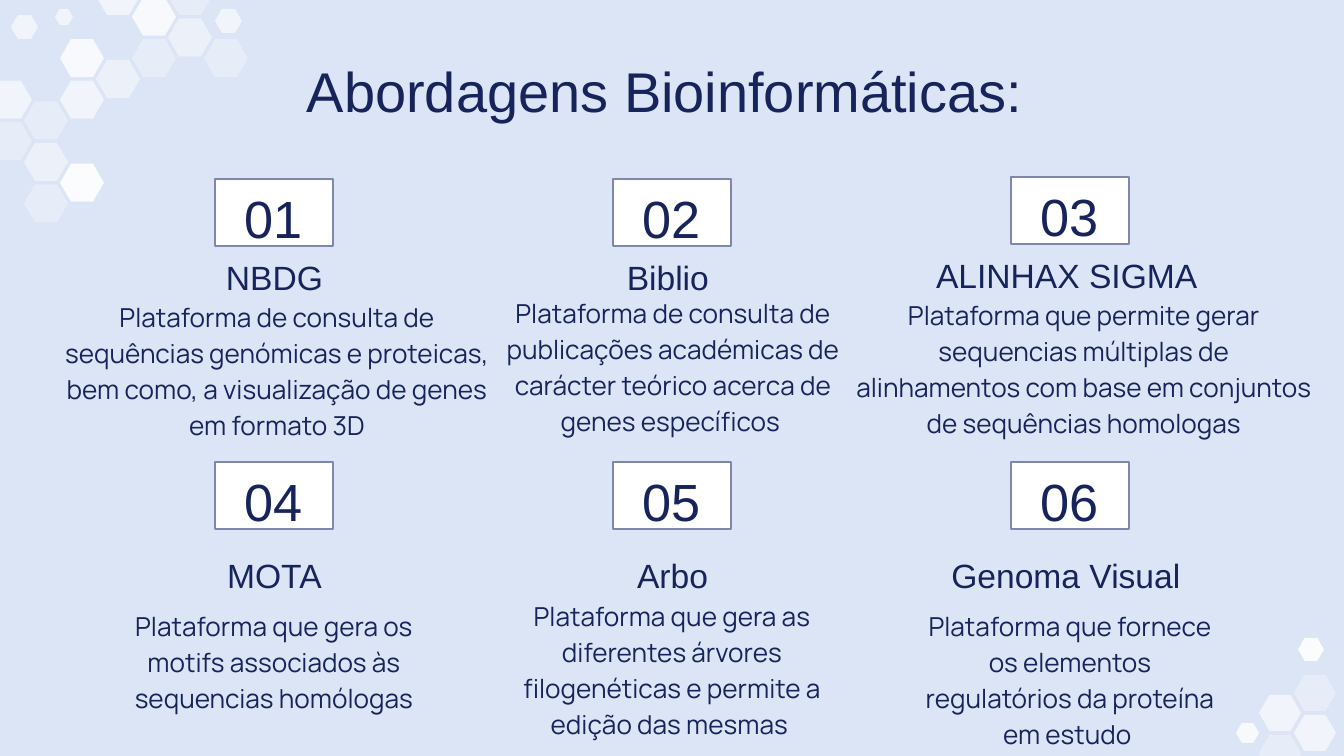
from lxml import etree
from pptx import Presentation
from pptx import util as u
from pptx.dml.color import RGBColor
from pptx.enum import shapes, text
from pptx.oxml.ns import qn

NAVY, WHITE, PALE, BORDER = "17235B", "FFFFFF", "DCE5F5", "7F87AC"
INSET = 13
TOP, MIDDLE, BOTTOM = (text.MSO_ANCHOR.TOP, text.MSO_ANCHOR.MIDDLE,
                       text.MSO_ANCHOR.BOTTOM)


def px(n):
    return u.Emu(round(n * 914400 / 134.4))


def box_px(*lengths):
    return [px(n) for n in lengths]


def color(hex_string):
    return RGBColor.from_string(hex_string)


def write(shape, words, size, font, anchor, spacing=1.15):
    frame = shape.text_frame
    frame.text = words
    frame.word_wrap = True
    frame.auto_size = text.MSO_AUTO_SIZE.NONE
    frame.vertical_anchor = anchor
    frame.margin_left = frame.margin_right = px(INSET)
    frame.margin_top = frame.margin_bottom = px(INSET)
    paragraph = frame.paragraphs[0]
    paragraph.alignment = text.PP_ALIGN.CENTER
    paragraph.line_spacing = spacing
    paragraph.space_before = u.Pt(0)
    for run in paragraph.runs:
        run.font.size = u.Pt(size)
        run.font.name = font
        run.font.color.rgb = color(NAVY)


def add_hexagon(slide, box, opacity):
    hexagon = slide.shapes.add_shape(shapes.MSO_SHAPE.HEXAGON, *box_px(*box))
    hexagon.adjustments[0] = 0.29
    hexagon.shadow.inherit = False
    hexagon.line.fill.background()
    hexagon.fill.solid()
    hexagon.fill.fore_color.rgb = color(WHITE)
    tint = hexagon.fill._xPr.find(".//" + qn("a:srgbClr"))
    etree.SubElement(tint, qn("a:alpha"), val=str(opacity * 1000))


def add_honeycomb(slide, origin, pitch, size, cells, loose):
    """Cells are (column, half row, opacity); loose ones have their own box."""
    left, top = origin
    for column, row, opacity in cells:
        x, y = left + column * pitch[0], top + row * pitch[1]
        add_hexagon(slide, (x, y, *size), opacity)
    for x, y, width, height, opacity in loose:
        add_hexagon(slide, (left + x, top + y, width, height), opacity)


def add_title(slide, box, words):
    title = slide.shapes.title
    title.left, title.top, title.width, title.height = box_px(*box)
    write(title, words, 30, "Arial", TOP, 1.0)


def add_approach(slide, center, top, number, name, name_dy, summary, area):
    # Number in its frame
    badge = slide.shapes.add_shape(shapes.MSO_SHAPE.RECTANGLE,
                                   *box_px(center - 59, top, 118, 67))
    badge.shadow.inherit = False
    badge.fill.solid()
    badge.fill.fore_color.rgb = color(WHITE)
    badge.line.color.rgb = color(BORDER)
    badge.line.width = u.Pt(0.75)
    write(badge, number, 28, "Arial", MIDDLE)

    # Name
    heading = slide.shapes.add_textbox(
        *box_px(center - 169, top + name_dy, 339, 56))
    write(heading, name, 18, "Arial", BOTTOM)

    # Summary, whose area is (shift from center, drop, width, height)
    shift, drop, width, height = area
    body = slide.shapes.add_textbox(
        *box_px(center + shift - width / 2, top + drop, width, height))
    write(body, summary, 14, "Manrope", TOP)


APPROACHES = [
    ("NBDG", "Plataforma de consulta de sequências genómicas e proteicas, "
     "bem como, a visualização de genes em formato 3D", (3, 105, 466, 152)),
    ("Biblio ", "Plataforma de consulta de publicações académicas de "
     "carácter teórico acerca de genes específicos ", (1, 101, 364, 181)),
    ("ALINHAX SIGMA ", "Plataforma que permite gerar sequencias múltiplas de "
     "alinhamentos com base em conjuntos de sequências homologas",
     (14, 105, 485, 222)),
    ("MOTA", "Plataforma que gera os motifs associados às sequencias "
     "homólogas", (0, 131, 339, 134)),
    ("Arbo", "Plataforma que gera as diferentes árvores filogenéticas e "
     "permite a edição das mesmas ", (0, 121, 339, 241)),
    ("Genoma Visual ", "Plataforma que fornece os elementos regulatórios da "
     "proteína em estudo ", (0, 131, 339, 163)),
]
BADGE_TOPS = [179, 179, 177, 462, 462, 462]
NAME_DROPS = [75, 90]  # one for each row

TOP_LEFT_CELLS = [
    (2, 5, 60), (0, 5, 60), (3, 0, 60), (1, 8, 48), (3, 4, 48),
    (5, 2, 48), (2, 3, 80), (4, 1, 80), (1, 10, 30), (2, 9, 90),
    (1, 6, 30), (0, 7, 30), (6, 3, 30), (4, 3, 30), (5, 0, 30),
]
TOP_LEFT_LOOSE = [(67, 32, 18, 16, 60), (23, 38, 27, 24, 60),
                  (227, 32, 27, 24, 60)]
BOTTOM_RIGHT_CELLS = [(0, 3, 33), (1, 2, 60), (0, 1, 60), (1, 0, 33)]
BOTTOM_RIGHT_LOOSE = [(39, -37, 26, 23, 90), (-23, 48, 23, 20, 80)]


def main():
    deck = Presentation()
    deck.slide_width, deck.slide_height = box_px(1344, 756)
    slide = deck.slides.add_slide(deck.slide_layouts[5])
    slide.background.fill.solid()
    slide.background.fill.fore_color.rgb = color(PALE)

    # Corner decoration
    add_honeycomb(slide, (-12, -23), (36, 20.75), (44, 38),
                  TOP_LEFT_CELLS, TOP_LEFT_LOOSE)
    add_honeycomb(slide, (1259, 675), (35, 20), (42, 36),
                  BOTTOM_RIGHT_CELLS, BOTTOM_RIGHT_LOOSE)

    add_title(slide, (106, 43, 1133, 85), "Abordagens Bioinformáticas: ")

    # Three columns by two rows
    for i, (name, summary, area) in enumerate(APPROACHES):
        row, column = divmod(i, 3)
        add_approach(slide, 274 + 398 * column, BADGE_TOPS[i], f"{i + 1:02}",
                     name, NAME_DROPS[row], summary, area)

    deck.save("out.pptx")


if __name__ == "__main__":
    main()
